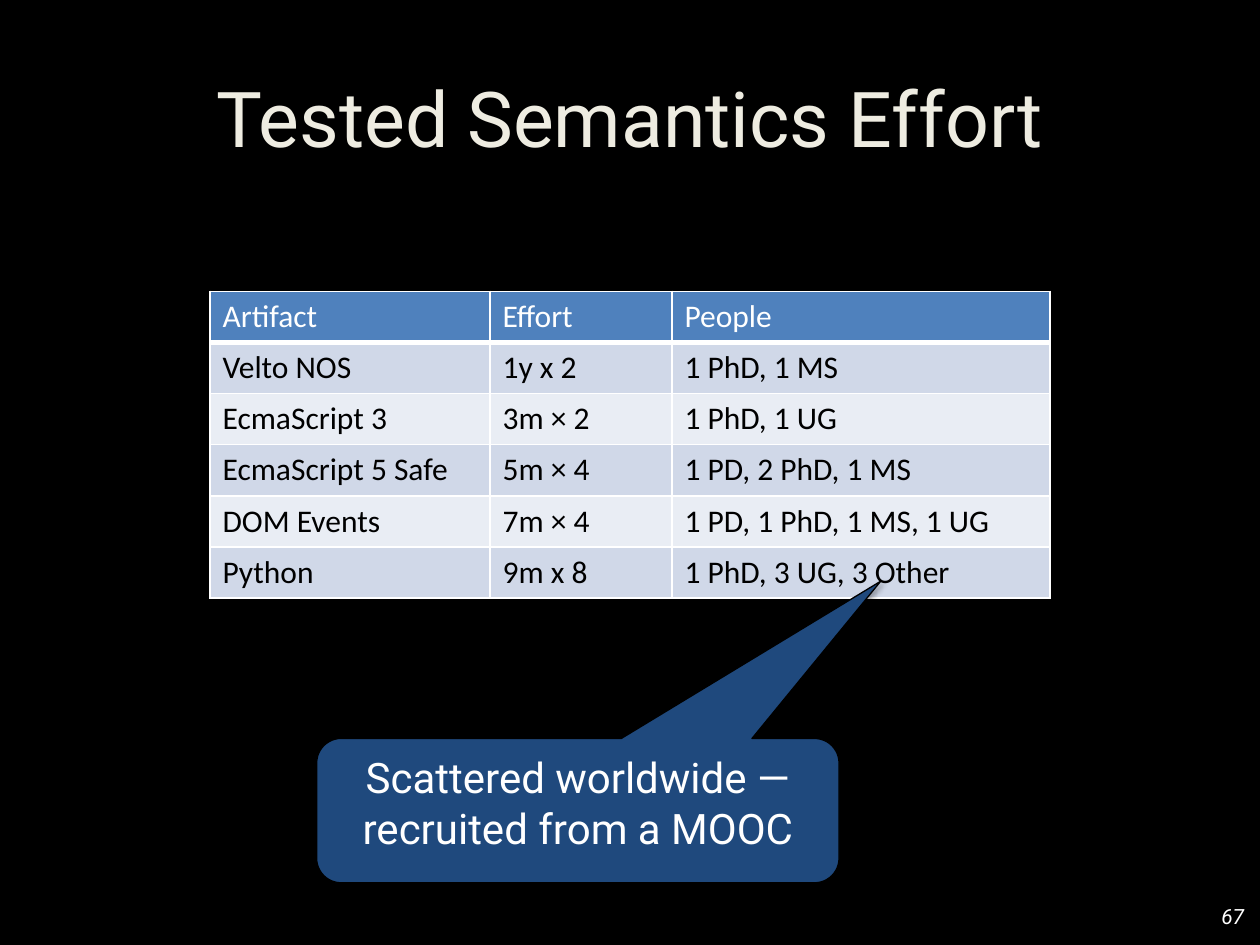
from lxml.etree import SubElement
from pptx import Presentation
from pptx.dml.color import RGBColor as RGB
from pptx.enum.shapes import MSO_SHAPE as Shape
from pptx.enum.text import MSO_ANCHOR as Anchor, PP_ALIGN as Align
from pptx.oxml.ns import qn
from pptx.util import Pt

COLORS = {
    "background": "000000", "title": "EEECE1", "light": "FFFFFF", "dark": "000000",
    "header": "4F81BD", "odd": "D0D8E8", "even": "E9EDF4", "callout": "1F497D",
}
EFFORTS = [
    ("Artifact", "Effort", "People"),
    ("Velto NOS", "1y x 2", "1 PhD, 1 MS"),
    ("EcmaScript 3", "3m × 2", "1 PhD, 1 UG"),
    ("EcmaScript 5 Safe", "5m × 4", "1 PD, 2 PhD, 1 MS"),
    ("DOM Events", "7m × 4", "1 PD, 1 PhD, 1 MS, 1 UG"),
    ("Python", "9m x 8", "1 PhD, 3 UG, 3 Other"),
]


def color(name):
    return RGB.from_string(COLORS[name])


class SlideBuilder:
    heading_font = "Roboto"
    table_font = "Calibri"

    def __init__(self, slide):
        self.slide = slide
        slide.background.fill.solid()
        slide.background.fill.fore_color.rgb = color("background")

    def set_text(self, frame, text, ink, align=None, anchor=Anchor.TOP, **font_format):
        frame.word_wrap = True
        frame.vertical_anchor = anchor
        paragraph = frame.paragraphs[0]
        paragraph.alignment = align
        run = paragraph.add_run()
        run.text = text
        run.font.color.rgb = color(ink)
        for name, value in ({"name": self.heading_font} | font_format).items():
            setattr(run.font, name, value)

    def title(self, text, left, top, width, height):
        heading = self.slide.shapes.title
        place = {"left": left, "top": top, "width": width, "height": height}
        for name, value in place.items():
            setattr(heading, name, Pt(value))
        self.set_text(heading.text_frame, text, "title", Align.CENTER, Anchor.MIDDLE,
                      size=Pt(44))

    def cell_borders(self, cell, bottom):
        properties = cell._tc.get_or_add_tcPr()
        for side, weight in {"L": 1, "R": 1, "T": 1, "B": bottom}.items():
            line = SubElement(properties, qn(f"a:ln{side}"), w=str(Pt(weight)))
            fill = SubElement(line, qn("a:solidFill"))
            SubElement(fill, qn("a:srgbClr"), val=COLORS["light"])

    def table(self, rows, left, top, widths, row_height):
        table = self.slide.shapes.add_table(
            len(rows), len(widths), Pt(left), Pt(top),
            Pt(sum(widths)), Pt(row_height * len(rows))).table
        table.horz_banding = False
        for column, width in zip(table.columns, widths):
            column.width = Pt(width)
        for r, values in enumerate(rows):
            table.rows[r].height = Pt(row_height)
            band = "header" if r == 0 else ("even", "odd")[r % 2]
            for c, text in enumerate(values):
                cell = table.cell(r, c)
                self.cell_borders(cell, 1 if r else 3)
                cell.fill.solid()
                cell.fill.fore_color.rgb = color(band)
                self.set_text(cell.text_frame, text, "dark" if r else "light",
                              name=self.table_font, size=Pt(18), bold=False)

    def callout(self, text, left, top, width, height, adjustments):
        bubble = self.slide.shapes.add_shape(
            Shape.ROUNDED_RECTANGULAR_CALLOUT, Pt(left), Pt(top), Pt(width), Pt(height))
        for i, value in enumerate(adjustments):
            bubble.adjustments[i] = value
        bubble.fill.solid()
        bubble.fill.fore_color.rgb = color("callout")
        bubble.line.color.rgb = color("dark")
        bubble.line.width = Pt(0.75)
        bubble.shadow.inherit = False
        effects = bubble._element.spPr.find(qn("a:effectLst"))
        shadow = SubElement(effects, qn("a:outerShdw"), blurRad=str(Pt(3.1)),
                            dist=str(Pt(1.8)), dir=str(47 * 60000), rotWithShape="0")
        tint = SubElement(shadow, qn("a:srgbClr"), val=COLORS["dark"])
        SubElement(tint, qn("a:alpha"), val="35000")
        self.set_text(bubble.text_frame, text, "light", Align.CENTER, size=Pt(24))

    def page_number(self, text, left, top, width, height):
        box = self.slide.shapes.add_textbox(Pt(left), Pt(top), Pt(width), Pt(height))
        self.set_text(box.text_frame, text, "light", Align.RIGHT, Anchor.MIDDLE,
                      size=Pt(12), italic=True)


def main():
    deck = Presentation()
    deck.slide_width, deck.slide_height = Pt(720), Pt(540)
    builder = SlideBuilder(deck.slides.add_slide(deck.slide_layouts[5]))
    builder.title("Tested Semantics Effort", 36, 21.6, 648, 90)
    builder.table(EFFORTS, 120, 166.5, (160, 104, 216), 29.2)
    builder.callout("Scattered worldwide — recruited from a MOOC",
                    181, 422, 298.5, 82.5, (0.58, -1.59, 0.17))
    builder.page_number("67", 550, 509, 168, 28.8)
    deck.save("out.pptx")


if __name__ == "__main__":
    main()
